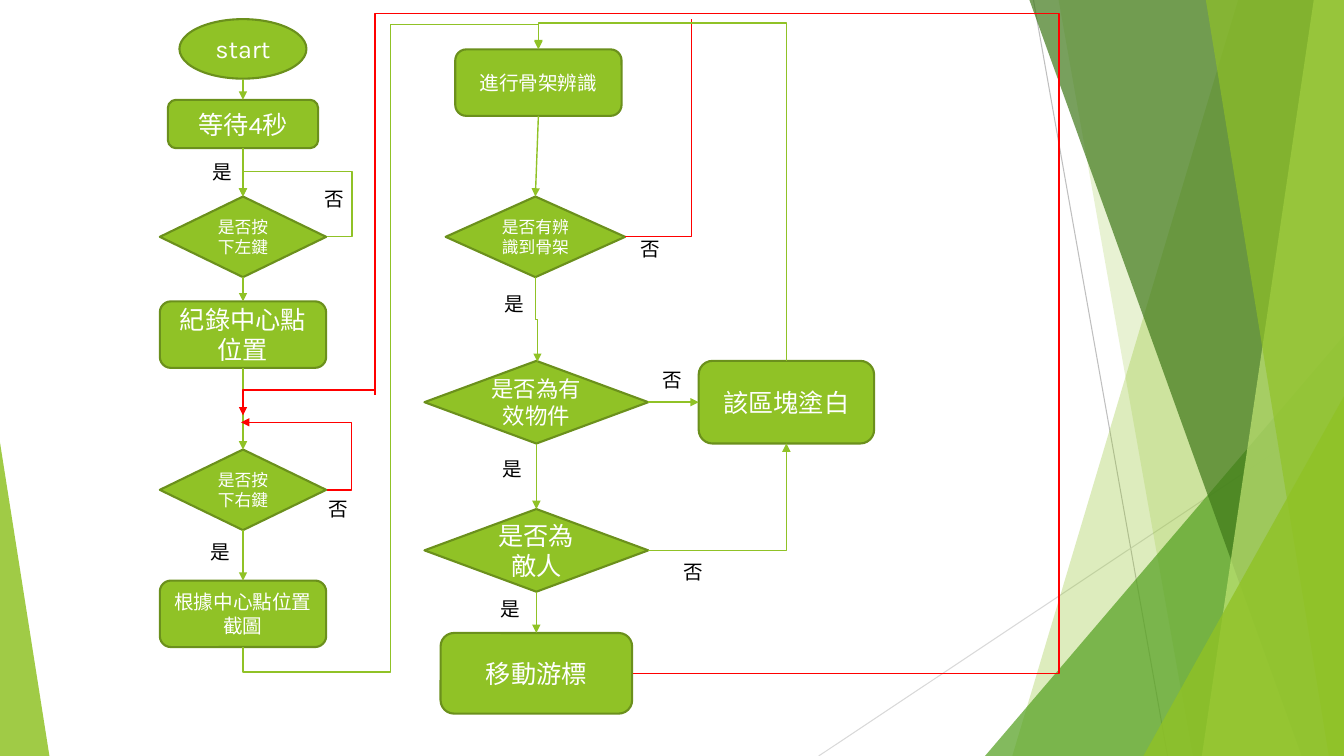
from lxml import etree
from pptx import Presentation
from pptx.dml.color import RGBColor
from pptx.enum.shapes import MSO_CONNECTOR, MSO_SHAPE
from pptx.enum.text import MSO_ANCHOR, PP_ALIGN
from pptx.oxml.ns import qn
from pptx.util import Inches, Pt

WIDTH, HEIGHT = 13.33, 7.5
FONT = "Karla"
OVAL, ROUNDED = MSO_SHAPE.OVAL, MSO_SHAPE.ROUNDED_RECTANGLE
DECISION, TRIANGLE = MSO_SHAPE.FLOWCHART_DECISION, MSO_SHAPE.ISOSCELES_TRIANGLE
STRAIGHT, ELBOW = MSO_CONNECTOR.STRAIGHT, MSO_CONNECTOR.ELBOW
TOP, LEFT, BOTTOM, RIGHT = range(4)  # connection sites

GREEN = RGBColor(0x90, 0xC2, 0x26)
OUTLINE = RGBColor(0x6B, 0x90, 0x1C)
MID_GREEN = RGBColor(0x54, 0xA0, 0x21)
DARK_GREEN = RGBColor(0x3F, 0x78, 0x19)
PALE_GREEN = RGBColor(0xC0, 0xE4, 0x74)
GREY = RGBColor(0xBF, 0xBF, 0xBF)
LIGHT_GREY = RGBColor(0xD9, 0xD9, 0xD9)
RED = RGBColor(0xFF, 0, 0)
WHITE = RGBColor(0xFF, 0xFF, 0xFF)
BLACK = RGBColor(0, 0, 0)

# Backdrop: hairlines, then facets back to front
HAIRLINES = [((10.25, 0), (11.58, HEIGHT), GREY),
             ((WIDTH, 4.03), (8.12, HEIGHT), LIGHT_GREY)]
# Bands reach the right edge: top-left x, bottom-left x, colour, opacity %
BANDS_BACK = [(12.28, 10.04, GREEN, 30), (10.5, 11.83, GREEN, 20)]
BANDS_FRONT = [(10.21, 12.91, DARK_GREEN, 70), (13.03, 11.92, PALE_GREEN, 70),
               (11.96, 13.18, GREEN, 65)]
# Triangles stand on the bottom edge: left, top, width, apex, colour, opacity %
TRIANGLE_BACK = [(9.77, 3.33, 3.56, 1, MID_GREEN, 72)]
TRIANGLES_FRONT = [(11.34, 3.93, 1.99, 1, GREEN, 80), (0, 4.39, 0.49, 0, GREEN, 85)]

# Flowchart steps: centre x, top, width, height, shape, size, text
STEPS = {
    "start": (2.41, 0.19, 1.26, 0.59, OVAL, 18, "start"),
    "wait": (2.41, 0.99, 1.49, 0.48, ROUNDED, 18, "等待4秒"),
    "left key": (2.41, 1.95, 1.65, 0.8, DECISION, 12, "是否按下左鍵"),
    "record": (2.41, 2.99, 1.65, 0.66, ROUNDED, 18, "紀錄中心點位置"),
    "right key": (2.41, 4.46, 1.65, 0.8, DECISION, 12, "是否按下右鍵"),
    "capture": (2.41, 5.76, 1.65, 0.66, ROUNDED, 14, "根據中心點位置截圖"),
    "skeleton": (5.34, 0.49, 1.65, 0.66, ROUNDED, 14, "進行骨架辨識"),
    "found": (5.31, 1.95, 1.78, 0.8, DECISION, 12, "是否有辨識到骨架"),
    "valid": (5.32, 3.58, 2.22, 0.82, DECISION, 16, "是否為有效物件"),
    "enemy": (5.32, 5.05, 2.22, 0.82, DECISION, 18, "是否為敵人"),
    "move": (5.32, 6.28, 1.9, 0.8, ROUNDED, 18, "移動游標"),
    "whiten": (7.8, 3.58, 1.74, 0.82, ROUNDED, 18, "該區塊塗白"),
}
ARROWS = [("start", "wait"), ("wait", "left key"), ("left key", "record"),
          ("record", "right key"), ("right key", "capture"), ("skeleton", "found"),
          ("valid", "enemy"), ("enemy", "move")]

# Elbows: left, top, width, height, rotation, flips, bends, adjusts, colour, arrow
ELBOWS = [
    (2.41, 1.95, 0.83, 0.4, 0, "hv", 4, (-0.302, 1.623), GREEN, True),
    (2.39, 4.19, 0.85, 0.67, 0, "hv", 3, (-0.293,), RED, True),
    (4.9, 3.16, 0.84, 0.02, 270, "h", 3, (0.5,), GREEN, True),
    (2.41, 3.87, 1.3, 0.25, 180, "v", 2, (), RED, True),
    (3.72, 3.75, 2.56, 2.93, 0, "hv", 4, (-1.65, 2.235), RED, False),
    (0.91, 1.99, 5.93, 2.93, 90, "hv", 5, (-0.042, 0.5, 1.042), GREEN, True),
    (6.2, 0.19, 0.66, 2.16, 0, "v", 2, (), RED, False),
    (6.43, 4.4, 1.37, 1.06, 0, "v", 2, (), GREEN, True),
    (5.02, 0.8, 3.1, 2.46, 270, "v", 3, (1.081,), GREEN, True),
]
LABELS = {
    "是": [(2.01, 1.54), (1.99, 5.31), (4.91, 2.85), (4.89, 4.48), (4.87, 5.87)],
    "否": [(3.12, 1.81), (3.16, 4.88), (6.25, 2.3), (6.47, 3.6), (6.68, 5.51)],
}

deck = Presentation()
deck.slide_width, deck.slide_height = Inches(WIDTH), Inches(HEIGHT)
page = deck.slides.add_slide(deck.slide_layouts[6])


def paint_facet(facet, color, opacity):
    facet.shadow.inherit = False
    facet.fill.solid()
    facet.fill.fore_color.rgb = color
    facet.line.fill.background()
    tint = facet.fill._xPr.find(".//" + qn("a:srgbClr"))
    etree.SubElement(tint, qn("a:alpha"), val=str(opacity * 1000))


def add_band(top_x, bottom_x, color, opacity):
    corners = [(WIDTH, 0), (WIDTH, HEIGHT), (bottom_x, HEIGHT)]
    outline = page.shapes.build_freeform(Inches(top_x), 0)
    outline.add_line_segments([(Inches(x), Inches(y)) for x, y in corners], close=True)
    paint_facet(outline.convert_to_shape(), color, opacity)


def add_triangle(left, top, width, apex, color, opacity):
    facet = page.shapes.add_shape(TRIANGLE, Inches(left), Inches(top),
                                  Inches(width), Inches(HEIGHT - top))
    facet.adjustments[0] = apex
    paint_facet(facet, color, opacity)


def add_line(kind, start, end, color, weight=1, arrow=False):
    line = page.shapes.add_connector(kind, *[Inches(v) for v in (*start, *end)])
    line.line.color.rgb = color
    line.line.width = Pt(weight)
    if arrow:
        etree.SubElement(line.line._get_or_add_ln(), qn("a:tailEnd"), type="triangle")
    etree.SubElement(line._element.spPr, qn("a:effectLst"))
    return line


def add_elbow(left, top, width, height, turn, flips, bends, adjusts, color, arrow):
    xs, ys = [left, left + width], [top, top + height]
    if "h" in flips:
        xs.reverse()
    if "v" in flips:
        ys.reverse()
    line = add_line(ELBOW, (xs[0], ys[0]), (xs[1], ys[1]), color, arrow=arrow)
    properties = line._element.spPr
    if turn:
        properties.find(qn("a:xfrm")).set("rot", str(turn * 60000))
    geometry = properties.find(qn("a:prstGeom"))
    geometry.set("prst", f"bentConnector{bends}")
    guides = geometry.find(qn("a:avLst"))
    for number, share in enumerate(adjusts, 1):
        etree.SubElement(guides, qn("a:gd"), name=f"adj{number}",
                         fmla=f"val {round(share * 100000)}")


def write(box, text, size, color):
    span = box.text_frame.paragraphs[0].add_run()
    span.text = text
    span.font.name, span.font.size = FONT, Pt(size)
    span.font.color.rgb = color


def add_step(center, top, width, height, kind, size, text):
    box = page.shapes.add_shape(kind, Inches(center - width / 2), Inches(top),
                                Inches(width), Inches(height))
    box.shadow.inherit = False
    box.fill.solid()
    box.fill.fore_color.rgb = GREEN
    box.line.color.rgb = OUTLINE
    box.line.width = Pt(1.5)
    box.text_frame.word_wrap = True
    box.text_frame.vertical_anchor = MSO_ANCHOR.MIDDLE
    box.text_frame.paragraphs[0].alignment = PP_ALIGN.CENTER
    write(box, text, size, WHITE)
    return box


# Backdrop
for start, end, color in HAIRLINES:
    add_line(STRAIGHT, start, end, color, 0.75)
for add_facet, facets in [(add_band, BANDS_BACK), (add_triangle, TRIANGLE_BACK),
                          (add_band, BANDS_FRONT), (add_triangle, TRIANGLES_FRONT)]:
    for facet in facets:
        add_facet(*facet)

# Steps and the arrows between them
boxes = {name: add_step(*step) for name, step in STEPS.items()}
for source, target in ARROWS:
    center, top, _, height, kind, *_ = STEPS[source]
    arrow = add_line(STRAIGHT, (center, top + height), STEPS[target][:2], GREEN, arrow=True)
    if kind != OVAL:  # an oval numbers its sites differently
        arrow.begin_connect(boxes[source], BOTTOM)
    arrow.end_connect(boxes[target], TOP)
sideways = add_line(STRAIGHT, (6.43, 3.99), (6.93, 3.99), GREEN, arrow=True)
sideways.begin_connect(boxes["valid"], RIGHT)
sideways.end_connect(boxes["whiten"], LEFT)

# Loops back
for elbow in ELBOWS:
    add_elbow(*elbow)
add_line(STRAIGHT, (3.72, 3.65), (3.72, 3.92), RED)

# Yes and no labels
for text, places in LABELS.items():
    for left, top in places:
        label = page.shapes.add_textbox(Inches(left), Inches(top), Inches(0.38), Inches(0.34))
        label.text_frame.word_wrap = True
        write(label, text, 14, BLACK)

deck.save("out.pptx")
